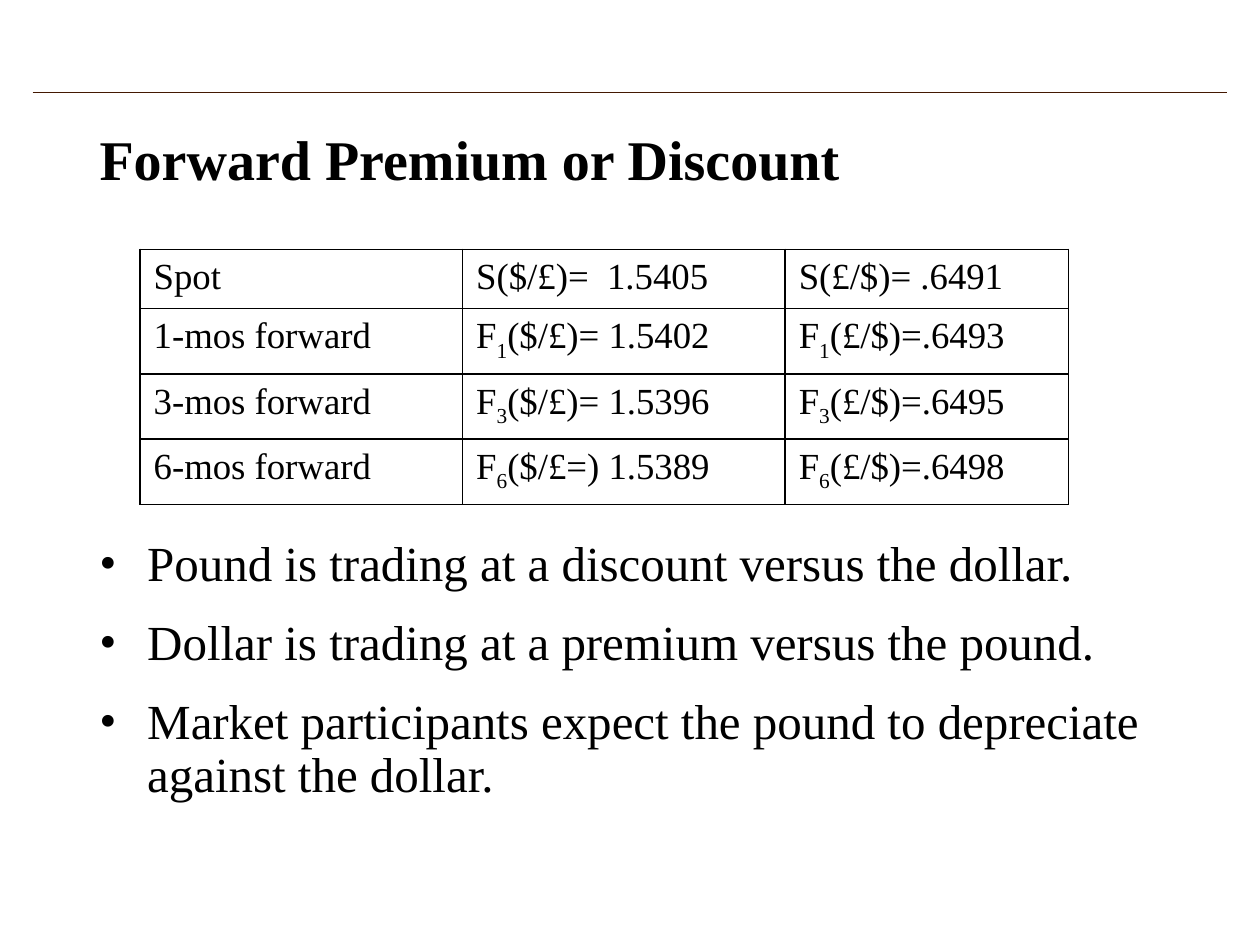
from lxml import etree
from pptx import Presentation
from pptx.dml.color import RGBColor
from pptx.enum.shapes import MSO_CONNECTOR
from pptx.enum.text import MSO_ANCHOR, PP_ALIGN
from pptx.oxml.ns import qn
from pptx.util import Inches, Pt

STRAIGHT = MSO_CONNECTOR.STRAIGHT
MIDDLE = MSO_ANCHOR.MIDDLE
TOP = MSO_ANCHOR.TOP
LEFT = PP_ALIGN.LEFT
FONT = "Times New Roman"
BLACK = "000000"

TITLE = "Forward Premium or Discount"
COLS = (2.56, 2.56, 2.25)
ROW = 0.47
RATES = [
    (["Spot"], ["S($/£)=  1.5405"], ["S(£/$)= .6491"]),
    (["1-mos forward"], ["F", "1", "($/£)= 1.5402"], ["F", "1", "(£/$)=.6493"]),
    (["3-mos forward"], ["F", "3", "($/£)= 1.5396"], ["F", "3", "(£/$)=.6495"]),
    (["6-mos forward"], ["F", "6", "($/£=) 1.5389"], ["F", "6", "(£/$)=.6498"]),
]
POINTS = [
    "Pound is trading at a discount versus the dollar.",
    "Dollar is trading at a premium versus the pound.",
    "Market participants expect the pound to depreciate against the dollar.",
]


def color(code):
    """Turn a hex string into a colour."""
    return RGBColor.from_string(code)


def add_run(para, text, size, bold=False):
    """Add one run of black text and return it."""
    run = para.add_run()
    run.text = text
    run.font.name = FONT
    run.font.size = Pt(size)
    run.font.bold = bold
    run.font.color.rgb = color(BLACK)
    return run


def add_rule(slide, left, top, width):
    """Draw the thin line across the top."""
    x, y = Inches(left), Inches(top)
    rule = slide.shapes.add_connector(STRAIGHT, x, y, x + Inches(width), y)
    rule.line.color.rgb = color("431801")
    rule.line.width = Pt(0.5)
    etree.SubElement(rule._element.spPr, qn("a:effectLst"))


def set_title(slide, left, top, width, height):
    """Place and fill the title."""
    title = slide.shapes.title
    title.left, title.top = Inches(left), Inches(top)
    title.width, title.height = Inches(width), Inches(height)
    title.text_frame.vertical_anchor = MIDDLE
    para = title.text_frame.paragraphs[0]
    para.alignment = LEFT
    para.line_spacing = 0.9
    add_run(para, TITLE, 32, True)


def set_edges(cell, shown):
    """Set the cell's four borders, black where shown."""
    props = cell._tc.get_or_add_tcPr()
    for spot, side in enumerate("LRTB"):
        line = etree.Element(qn(f"a:ln{side}"), w=str(Pt(1)))
        if side in shown:
            fill = etree.SubElement(line, qn("a:solidFill"))
            etree.SubElement(fill, qn("a:srgbClr"), val=BLACK)
        else:
            etree.SubElement(line, qn("a:noFill"))
        props.insert(spot, line)


def fill_cell(cell, parts):
    """Write the parts of a rate, the second one as a subscript."""
    cell.margin_left = cell.margin_right = Inches(0.11)
    cell.margin_top = cell.margin_bottom = Inches(0.06)
    para = cell.text_frame.paragraphs[0]
    for spot, text in enumerate(parts):
        run = add_run(para, text, 21)
        if spot == 1:
            run.font._element.set("baseline", "-25000")


def add_rates(slide, left, top):
    """Add the rate table under its open first row."""
    count = len(RATES) + 1
    frame = slide.shapes.add_table(
        count, len(COLS), Inches(left), Inches(top),
        Inches(sum(COLS)), Inches(ROW * count))
    table = frame.table
    table.first_row = table.horz_banding = False
    for col, width in zip(table.columns, COLS):
        col.width = Inches(width)
    for row in table.rows:
        row.height = Inches(ROW)
        for cell in row.cells:
            cell.fill.background()
    for cell in table.rows[0].cells:
        set_edges(cell, "B")
    for y, rates in enumerate(RATES, 1):
        for x, parts in enumerate(rates):
            cell = table.cell(y, x)
            set_edges(cell, "LRTB")
            fill_cell(cell, parts)


def add_points(slide, left, top, width, height):
    """Add the bullet list."""
    box = slide.shapes.add_textbox(
        Inches(left), Inches(top), Inches(width), Inches(height))
    frame = box.text_frame
    frame.word_wrap = True
    frame.vertical_anchor = TOP
    for spot, text in enumerate(POINTS):
        para = frame.add_paragraph() if spot else frame.paragraphs[0]
        para.line_spacing = 0.9
        para.space_before = Pt(15)
        props = para._p.get_or_add_pPr()
        props.set("marL", str(Inches(0.38)))
        props.set("indent", str(-Inches(0.38)))
        etree.SubElement(props, qn("a:buFont"), typeface=FONT)
        etree.SubElement(props, qn("a:buChar"), char="•")
        add_run(para, text, 28)


def main():
    """Build and save the slide."""
    deck = Presentation()
    deck.slide_width, deck.slide_height = Inches(10), Inches(7.5)
    slide = deck.slides.add_slide(deck.slide_layouts[5])
    add_rule(slide, 0.26, 0.73, 9.48)
    set_title(slide, 0.69, 0.85, 8.62, 0.87)
    add_points(slide, 0.69, 4.23, 9.02, 3.2)
    add_rates(slide, 1.11, 1.51)
    deck.save("out.pptx")


if __name__ == "__main__":
    main()
